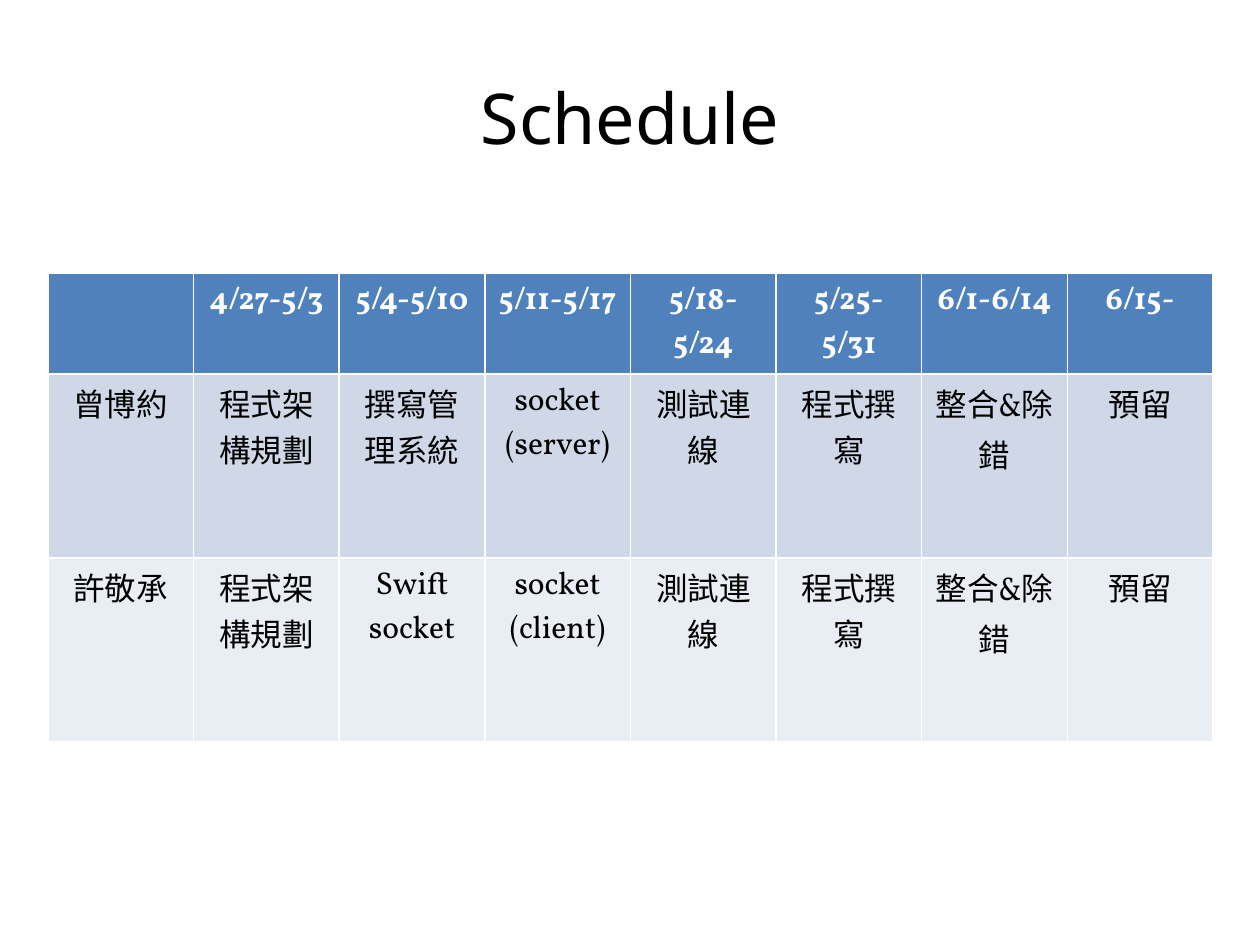
from pptx import Presentation
from pptx.dml.color import RGBColor
from pptx.enum.text import MSO_ANCHOR, PP_ALIGN
from pptx.util import Inches, Pt

CENTER = PP_ALIGN.CENTER
MIDDLE = MSO_ANCHOR.MIDDLE

BLACK = RGBColor(0x00, 0x00, 0x00)
WHITE = RGBColor(0xFF, 0xFF, 0xFF)
HEADER_BLUE = RGBColor(0x4F, 0x81, 0xBD)
BAND_DARK = RGBColor(0xD0, 0xD8, 0xE8)
BAND_LIGHT = RGBColor(0xE9, 0xED, 0xF4)

TITLE = "Schedule"
# "\v" is a line break, "\n" starts a new paragraph
SCHEDULE = [
    ["", "4/27-5/3", "5/4-5/10", "5/11-5/17", "5/18-5/24", "5/25-5/31",
     "6/1-6/14", "6/15-"],
    ["曾博約", "程式架構規劃", "撰寫管理系統", "socket\v(server)", "測試連線",
     "程式撰寫", "整合&除錯", "預留"],
    ["許敬承", "程式架構規劃", "Swift socket", "socket\n(client)", "測試連線",
     "程式撰寫", "整合&除錯", "預留"],
]
ROW_HEIGHTS = [0.5, 1.46, 1.46]
ROW_FILLS = [HEADER_BLUE, BAND_DARK, BAND_LIGHT]
TABLE_LEFT, TABLE_TOP, TABLE_WIDTH = 0.38, 2.17, 9.25

TITLE_FONT = {"name": "Noto Sans", "size": Pt(40)}
HEADER_FONT = {"name": "Vollkorn", "size": Pt(18), "bold": True}
BODY_FONT = {**HEADER_FONT, "bold": False}


def write_text(frame, text, font_format, color):
    """Fill a text frame with centred, formatted text."""
    frame.text = text
    for paragraph in frame.paragraphs:
        paragraph.alignment = CENTER
        for font in [paragraph.font] + [run.font for run in paragraph.runs]:
            for attribute, value in font_format.items():
                setattr(font, attribute, value)
            font.color.rgb = color


def add_title(slide):
    """Place the slide title in its placeholder."""
    title = slide.shapes.title
    title.left, title.top = Inches(0.5), Inches(0.3)
    title.width, title.height = Inches(9), Inches(1.25)
    write_text(title.text_frame, TITLE, TITLE_FONT, BLACK)
    title.text_frame.vertical_anchor = MIDDLE


def add_schedule(slide):
    """Add the table of people and weeks."""
    schedule = slide.shapes.add_table(
        len(SCHEDULE), len(SCHEDULE[0]), Inches(TABLE_LEFT), Inches(TABLE_TOP),
        Inches(TABLE_WIDTH), Inches(sum(ROW_HEIGHTS))).table
    for row, texts, height, fill in zip(
            schedule.rows, SCHEDULE, ROW_HEIGHTS, ROW_FILLS):
        row.height = Inches(height)
        is_header = fill == HEADER_BLUE
        for cell, text in zip(row.cells, texts):
            cell.fill.solid()
            cell.fill.fore_color.rgb = fill
            write_text(cell.text_frame, text,
                       HEADER_FONT if is_header else BODY_FONT,
                       WHITE if is_header else BLACK)


deck = Presentation()
deck.slide_width, deck.slide_height = Inches(10), Inches(7.5)
schedule_slide = deck.slides.add_slide(deck.slide_layouts[5])
add_title(schedule_slide)
add_schedule(schedule_slide)
deck.save("out.pptx")
